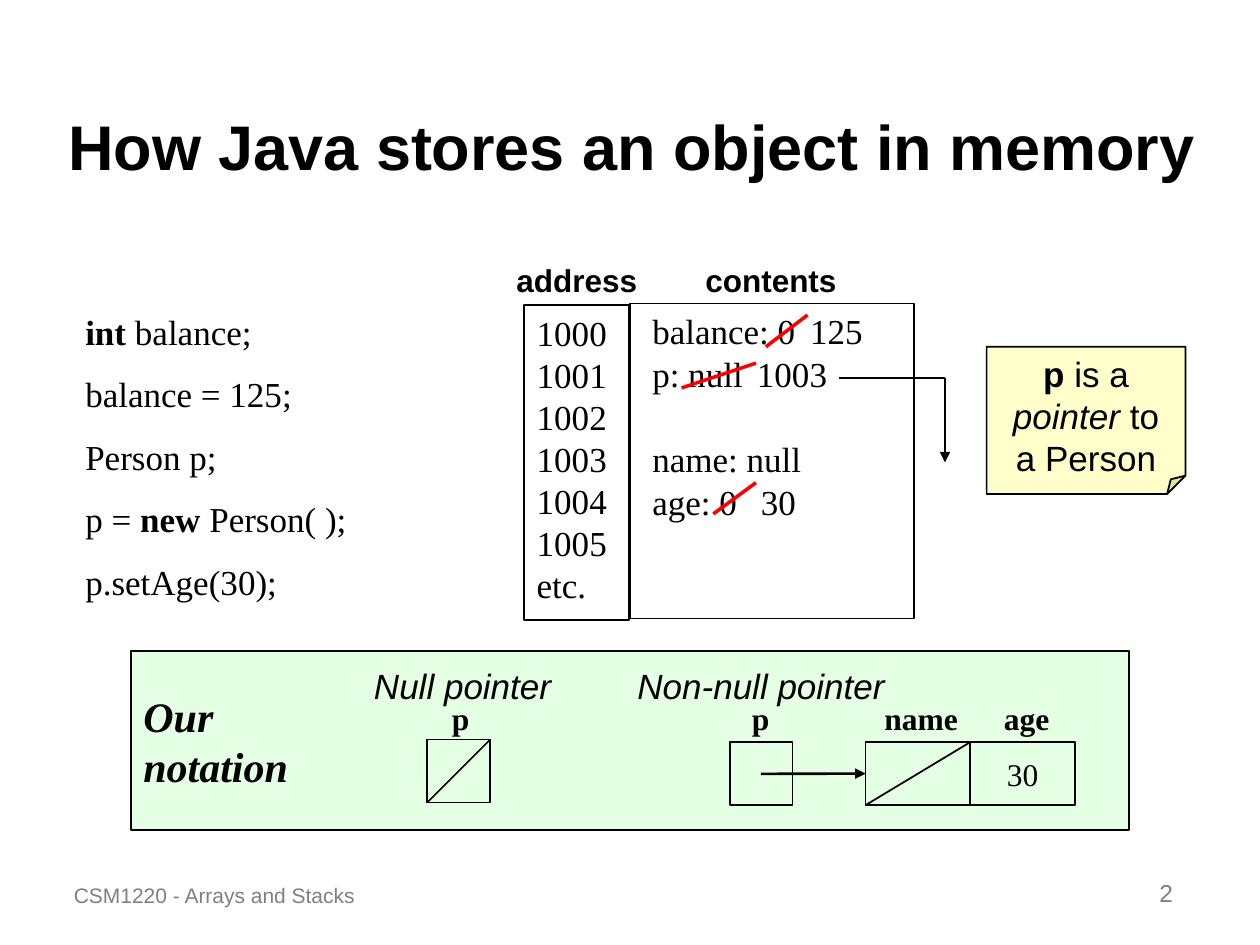
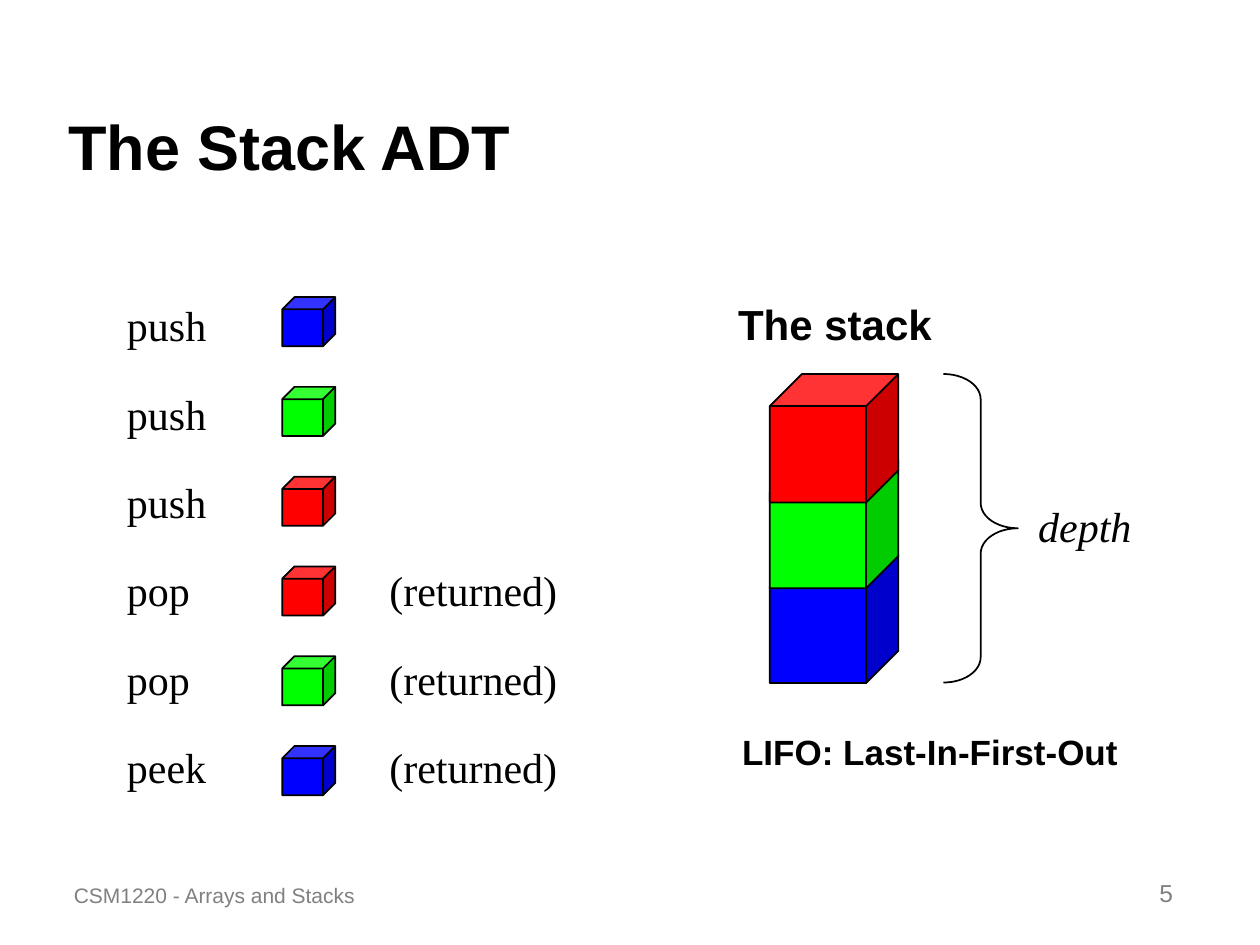
from lxml.etree import SubElement as Sub
from pptx import Presentation
from pptx.dml.color import RGBColor as RGB
from pptx.enum.shapes import MSO_CONNECTOR as Conn, MSO_SHAPE as Kind
from pptx.enum.text import MSO_ANCHOR as Anchor, MSO_AUTO_SIZE as Fit, PP_ALIGN as Align
from pptx.oxml.ns import qn
from pptx.util import Cm, Pt

HUES = {
    "black": "000000", "grey": "808080", "note": "FFFF99", "panel": "CCFFCC",
    "red": "FF0000", "green": "00FF00", "blue": "0000FF",
}
SANS, SERIF = "Arial", "Times New Roman"


def block(slide, kind, x, y, w, h, hue=None, alpha=None):
    area = Cm(x), Cm(y), Cm(w), Cm(h)
    if kind is None:
        return slide.shapes.add_textbox(*area)
    shape = slide.shapes.add_shape(kind, *area)
    shape.shadow.inherit = False
    shape.line.color.rgb = RGB.from_string(HUES["black"])
    shape.line.width = Pt(1)
    if hue:
        shape.fill.solid()
        shape.fill.fore_color.rgb = RGB.from_string(HUES[hue])
    else:
        shape.fill.background()
    if alpha:
        tint = shape._element.spPr.find(qn("a:solidFill")).find(qn("a:srgbClr"))
        Sub(tint, qn("a:alpha"), val=str(alpha * 1000))
    return shape


def write(shape, text, size, face, look="", hue="black", align=Align.LEFT,
          anchor=Anchor.TOP, wrap=False):
    frame = shape.text_frame
    frame.word_wrap = wrap
    frame.auto_size = Fit.NONE
    frame.vertical_anchor = anchor
    looks = [look]
    if isinstance(text, str):
        frame.text = text
    else:
        looks = [mark for _, mark in text]
        for part, _ in text:
            frame.paragraphs[0].add_run().text = part
    for para in frame.paragraphs:
        para.alignment = align
        for run, mark in zip(para.runs, looks):
            font = run.font
            font.name, font.size = face, Pt(size)
            font.bold, font.italic = "b" in mark, "i" in mark
            font.color.rgb = RGB.from_string(HUES[hue])


deck = Presentation()
deck.slide_width, deck.slide_height = Cm(25.4), Cm(19.05)
slides = []
for name, width, page in [
    ("How Java stores an object in memory", 23.65, "2"),
    ("The Stack ADT", 23.01, "5"),
]:
    slide = deck.slides.add_slide(deck.slide_layouts[5])
    title = slide.shapes.title
    title.left, title.top = Cm(1.12), Cm(0.64)
    title.width, title.height = Cm(width), Cm(3.18)
    write(title, name, 36, SANS, "b", anchor=Anchor.BOTTOM, wrap=True)
    write(block(slide, None, 1.24, 17.15, 7.62, 1.27), "CSM1220 - Arrays and Stacks",
          12, SANS, hue="grey", anchor=Anchor.BOTTOM, wrap=True)
    write(block(slide, None, 18.62, 17.15, 5.28, 1.27), page, 14, SANS, hue="grey",
          align=Align.RIGHT, anchor=Anchor.BOTTOM, wrap=True)
    slides.append(slide)
memory, stack = slides

cells = block(memory, Kind.RECTANGLE, 10.57, 6.15, 2.11, 6.35)
write(cells, "1000\n1001\n1002\n1003\n1004\n1005\netc.", 20, SERIF, wrap=True)
block(memory, Kind.RECTANGLE, 12.7, 6.12, 5.72, 6.35)
for text, x, w in [("address", 10.16, 2.95), ("contents", 13.97, 3.15)]:
    write(block(memory, None, x, 5.13, w, 1.02), text, 18, SANS, "b")

code = [
    ([("int", "b"), (" balance;", "")], 3.86),
    ("balance = 125;", 4.67),
    ("Person p;", 3.15),
    ([("p = ", ""), ("new", "b"), (" Person( );", "")], 5.77),
    ("p.setAge(30);", 4.37),
]
for i, (text, w) in enumerate(code):
    write(block(memory, None, 1.47, 6.13 + 1.26 * i, w, 1.12), text, 20, SERIF)

for text, x, row, w in [
    ("balance: 0", 12.9, 0, 3.38), ("125", 16.08, 0, 1.55),
    ("p: null", 12.9, 1, 2.34), ("1003", 15.01, 1, 1.91),
    ("name: null", 12.9, 3, 3.51),
    ("age: 0", 12.9, 4, 2.21), ("30", 15.09, 4, 1.22),
]:
    write(block(memory, None, x, 6.12 + 0.86 * row, w, 1.12), text, 20, SERIF)

note = block(memory, Kind.FOLDED_CORNER, 19.89, 6.99, 4.01, 2.97, "note", 50)
geom = note._element.spPr.find(qn("a:prstGeom"))
Sub(geom.find(qn("a:avLst")), qn("a:gd"), name="adj", fmla="val 12500")
write(note, [("p", "b"), (" is a ", ""), ("pointer", "i"), (" to a Person", "")],
      20, SANS, align=Align.CENTER, wrap=True)

panel = block(memory, Kind.RECTANGLE, 2.64, 13.13, 20.12, 3.61, "panel", 50)
write(panel, "Our\nnotation", 24, SERIF, "bi", anchor=Anchor.MIDDLE, wrap=True)
for text, x, w in [("Null pointer", 7.29, 4.09), ("Non-null pointer", 12.6, 5.49)]:
    write(block(memory, None, x, 13.28, w, 1.12), text, 20, SANS, "i")
for text, x, w in [("p", 8.86, 0.86), ("p", 14.91, 0.86),
                   ("name", 17.58, 1.98), ("age", 19.99, 1.42)]:
    write(block(memory, None, x, 13.97, w, 1.02), text, 18, SERIF, "b")
block(memory, Kind.RECTANGLE, 8.61, 14.91, 1.27, 1.27)
block(memory, Kind.RECTANGLE, 14.71, 14.96, 1.27, 1.27)
field = block(memory, Kind.RECTANGLE, 17.45, 14.96, 2.11, 1.27)
age = block(memory, Kind.RECTANGLE, 19.56, 14.96, 2.11, 1.27)
write(age, "30", 18, SERIF, align=Align.CENTER, anchor=Anchor.MIDDLE, wrap=True)

for x1, y1, x2, y2, hue, width, arrow, goal in [
    (15.44, 6.99, 16.28, 6.35, "red", 2, False, None),
    (13.74, 7.82, 15.24, 7.32, "red", 2, False, None),
    (14.38, 10.36, 15.24, 9.73, "red", 2, False, None),
    (16.92, 7.62, 19.05, 7.62, "black", 1, False, None),
    (19.05, 7.62, 19.05, 9.32, "black", 1, True, None),
    (8.61, 16.18, 9.88, 14.91, "black", 1, False, None),
    (17.45, 16.23, 19.56, 14.96, "black", 1, False, None),
    (15.34, 15.6, 17.45, 15.6, "black", 1.5, True, field),
]:
    line = memory.shapes.add_connector(Conn.STRAIGHT, Cm(x1), Cm(y1), Cm(x2), Cm(y2))
    line.line.color.rgb = RGB.from_string(HUES[hue])
    line.line.width = Pt(width)
    props = line._element.spPr
    if arrow:
        Sub(props.find(qn("a:ln")), qn("a:tailEnd"), type="triangle")
    if goal:
        line.end_connect(goal, 1)
    Sub(props, qn("a:effectLst"))

steps = [
    ("push", "blue", 2.11), ("push", "green", 2.11), ("push", "red", 2.11),
    ("pop", "red", 1.78), ("pop", "green", 1.78), ("peek", "blue", 2.11),
]
for i, (text, hue, w) in enumerate(steps):
    top = 5.92 + 1.78 * i
    write(block(stack, None, 2.31, top, w, 1.27), text, 24, SERIF)
    block(stack, Kind.CUBE, 5.69, 5.99 + 1.81 * i, 1.07, 0.99, hue)
    if text != "push":
        write(block(stack, None, 7.6, top, 3.89, 1.27), "(returned)", 24, SERIF)

for hue, y in [("blue", 11.18), ("green", 9.27), ("red", 7.54)]:
    block(stack, Kind.CUBE, 15.52, y, 2.59, 2.59, hue)
brace = block(stack, Kind.RIGHT_BRACE, 19.02, 7.54, 1.5, 6.22)
brace.adjustments[0] = 0.34
for text, x, y, w, h, size, face, look in [
    ("The stack", 14.63, 5.89, 4.42, 1.27, 24, SANS, "b"),
    ("depth", 20.68, 9.96, 2.39, 1.27, 24, SERIF, "i"),
    ("LIFO: Last-In-First-Out", 14.71, 14.61, 8.08, 1.12, 20, SANS, "b"),
]:
    write(block(stack, None, x, y, w, h), text, size, face, look)

deck.save("out.pptx")
